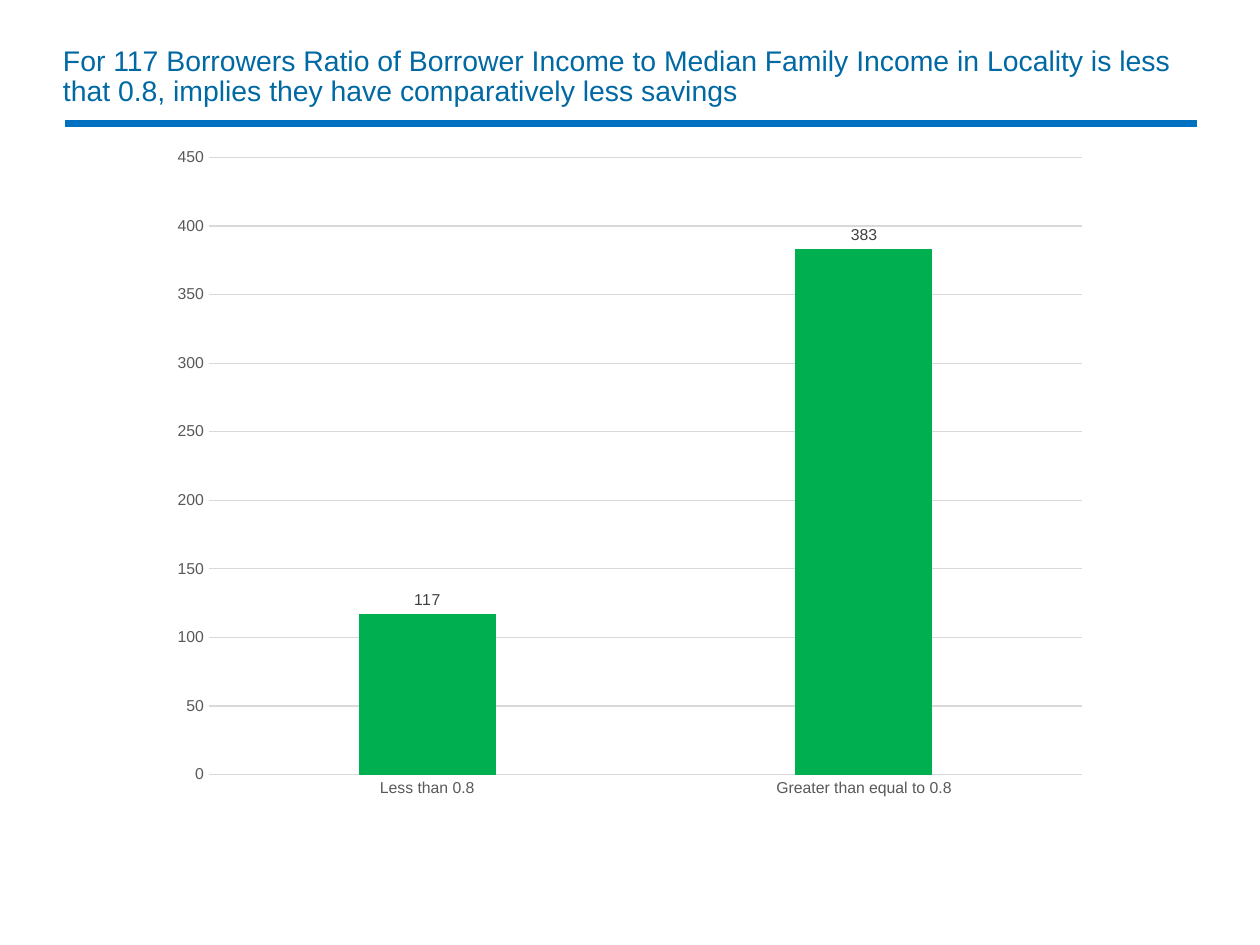
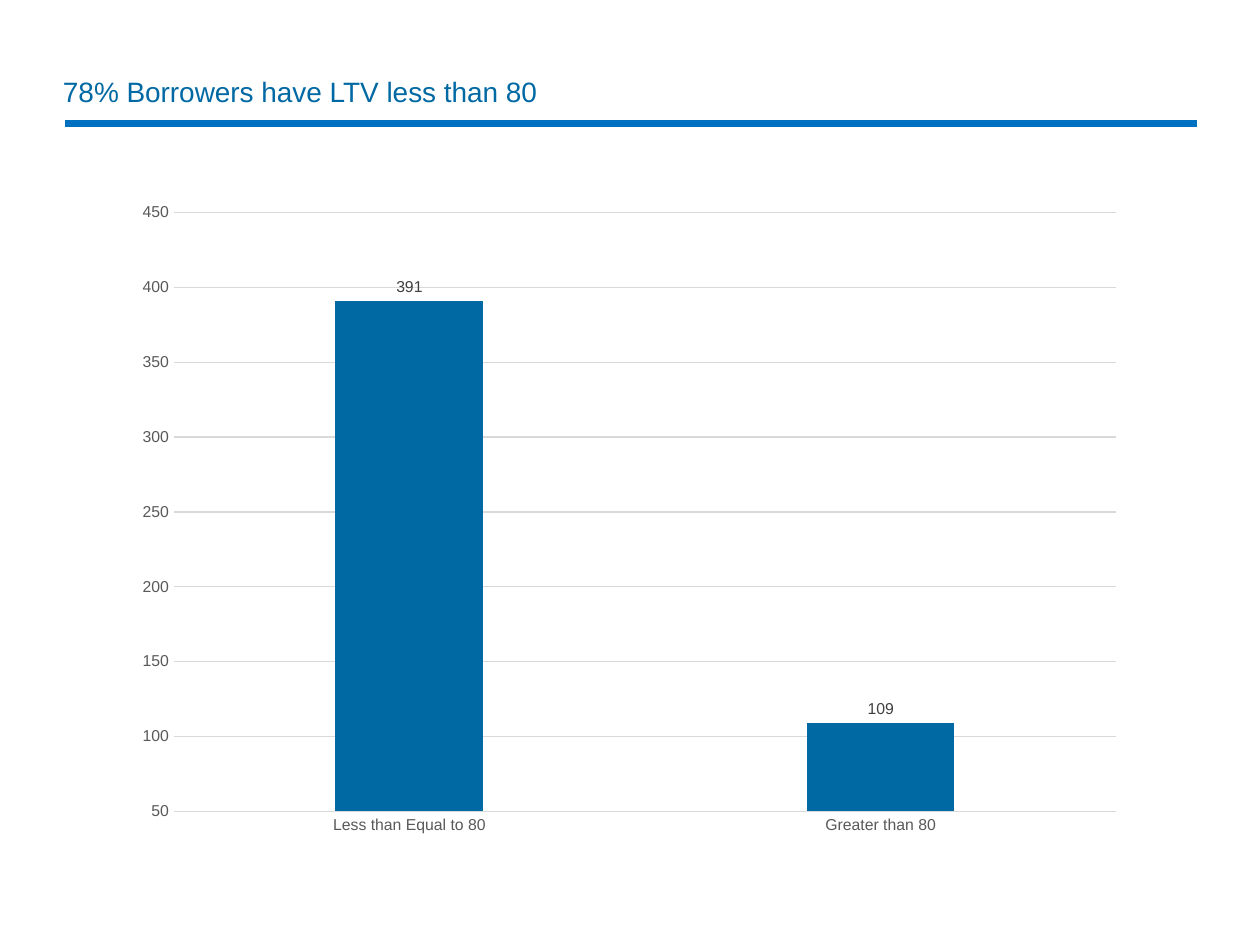
from pptx import Presentation
from pptx.chart.data import CategoryChartData
from pptx.dml.color import RGBColor
from pptx.enum.chart import XL_CHART_TYPE, XL_LABEL_POSITION, XL_TICK_MARK
from pptx.enum.shapes import MSO_CONNECTOR
from pptx.enum.text import MSO_ANCHOR
from pptx.oxml.ns import qn
from pptx.util import Inches, Pt
from lxml.etree import SubElement

FONT = "Arial"
TITLE_BLUE = RGBColor(0x00, 0x69, 0xA3)
RULE_BLUE = RGBColor(0x00, 0x70, 0xC0)
GREEN = RGBColor(0x00, 0xB0, 0x50)
GRID_GREY = RGBColor(0xD9, 0xD9, 0xD9)
AXIS_GREY = RGBColor(0x59, 0x59, 0x59)
LABEL_GREY = RGBColor(0x40, 0x40, 0x40)


def style_font(font, size, color):
    font.name = FONT
    font.size = Pt(size)
    font.color.rgb = color


def style_line(line, color, width):
    line.color.rgb = color
    line.width = Pt(width)


def add_text(slide, text, left, top, width, height, size=16, color=TITLE_BLUE,
             anchor=MSO_ANCHOR.MIDDLE, line_spacing=0.9):
    box = slide.shapes.add_textbox(Inches(left), Inches(top), Inches(width), Inches(height))
    tf = box.text_frame
    tf.word_wrap = True
    tf.vertical_anchor = anchor
    tf.margin_left = tf.margin_right = 0
    p = tf.paragraphs[0]
    p.line_spacing = line_spacing
    r = p.add_run()
    r.text = text
    style_font(r.font, size, color)


def add_title_rule(slide):
    rule = slide.shapes.add_connector(MSO_CONNECTOR.STRAIGHT, Inches(0.52), Inches(0.98),
                                      Inches(9.5), Inches(0.98))
    style_line(rule.line, RULE_BLUE, 4.5)
    SubElement(rule._element.spPr, qn("a:effectLst"))


def add_column_chart(slide, counts, color, left, top, width, height, minimum=0):
    """Add a single-series column chart; counts maps category to value."""
    data = CategoryChartData()
    data.categories = list(counts)
    data.add_series("Series 1", list(counts.values()))
    chart = slide.shapes.add_chart(XL_CHART_TYPE.COLUMN_CLUSTERED, Inches(left), Inches(top),
                                   Inches(width), Inches(height), data).chart
    chart.has_legend = False
    chart.has_title = False
    chart.font.name = FONT
    chart.font.size = Pt(10)

    for axis in (chart.category_axis, chart.value_axis):
        axis.major_tick_mark = axis.minor_tick_mark = XL_TICK_MARK.NONE
        style_font(axis.tick_labels.font, 9, AXIS_GREY)
    style_line(chart.category_axis.format.line, GRID_GREY, 0.75)
    values = chart.value_axis
    values.format.line.fill.background()
    values.minimum_scale = minimum
    values.maximum_scale = 450
    values.major_unit = 50
    style_line(values.major_gridlines.format.line, GRID_GREY, 0.75)

    plot = chart.plots[0]
    plot.vary_by_categories = False
    plot.gap_width = 219
    plot.overlap = -27
    fill = plot.series[0].format.fill
    fill.solid()
    fill.fore_color.rgb = color
    plot.has_data_labels = True
    labels = plot.data_labels
    labels.show_value = True
    labels.position = XL_LABEL_POSITION.OUTSIDE_END
    style_font(labels.font, 9, LABEL_GREY)


def add_titled_slide(prs, title, top, height, size=16):
    slide = prs.slides.add_slide(prs.slide_layouts[6])
    add_title_rule(slide)
    add_text(slide, title, 0.5, top, 9, height, size=size)
    return slide


def main():
    prs = Presentation()
    prs.slide_width = Inches(10)
    prs.slide_height = Inches(7.5)

    income = add_titled_slide(
        prs, "For 117 Borrowers Ratio of Borrower Income to Median Family Income in Locality "
        "is less that 0.8, implies they have comparatively less savings", 0.35, 0.53, size=16.2)
    add_column_chart(income, {"Less than 0.8": 117, "Greater than equal to 0.8": 383},
                     GREEN, 1.26, 1.07, 7.48, 5.37)

    ltv = add_titled_slide(prs, "78% Borrowers have LTV less than 80", 0.59, 0.3)
    add_column_chart(ltv, {"Less than Equal to 80": 391, "Greater than 80": 109},
                     TITLE_BLUE, 0.97, 1.51, 8.05, 5.22, minimum=50)

    prs.save("out.pptx")


if __name__ == "__main__":
    main()
